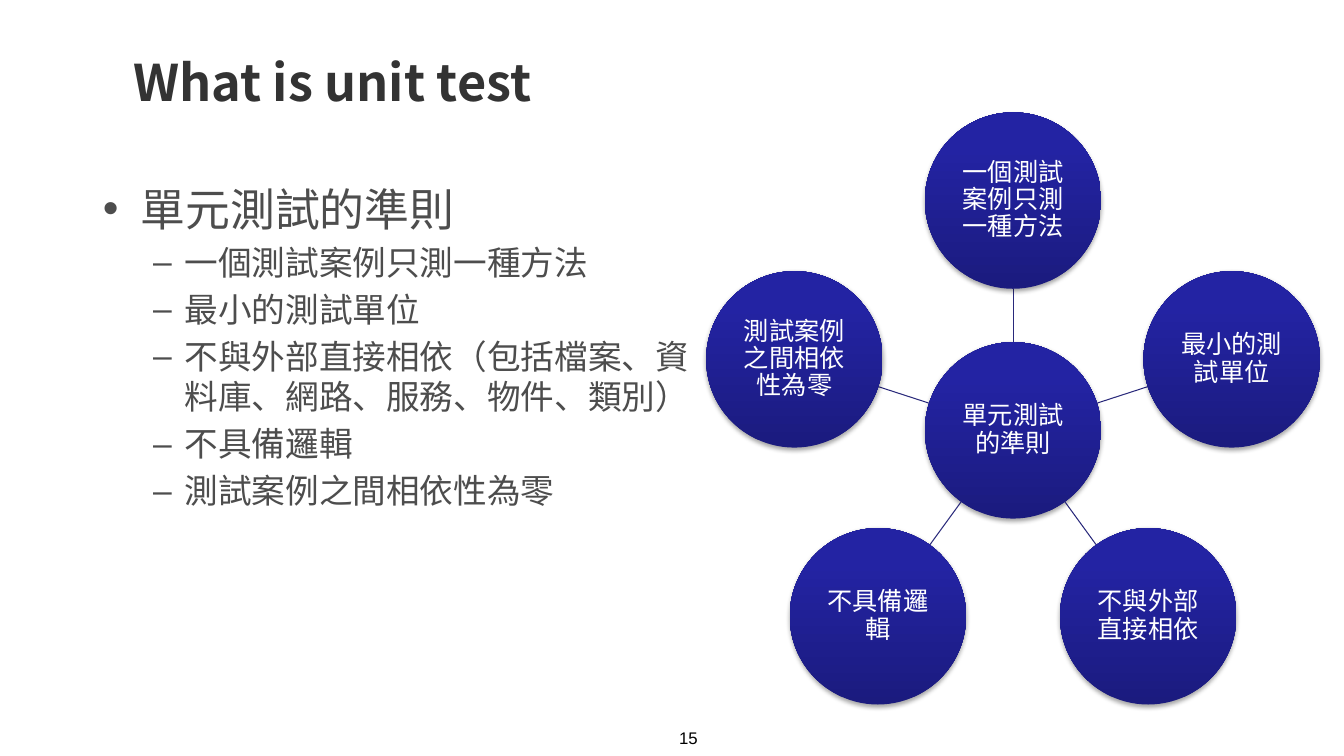
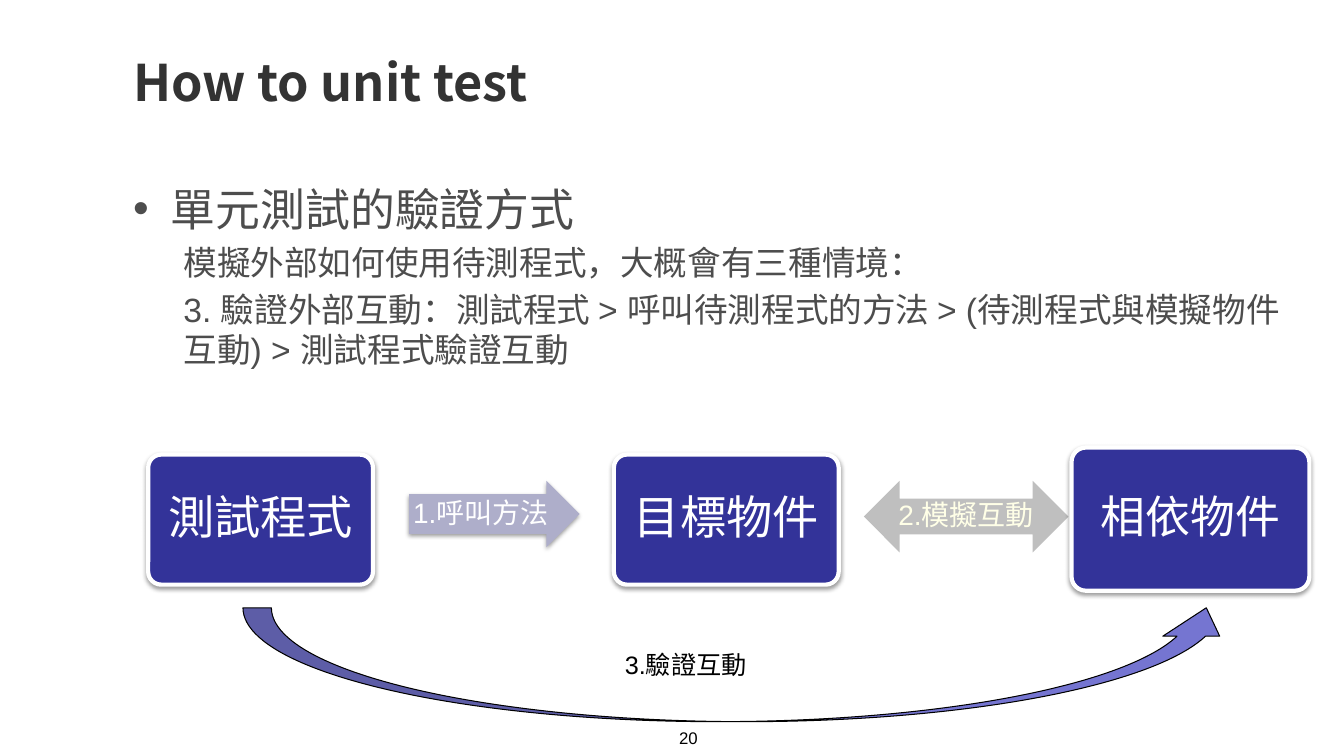
"""Build two unit test slides: a ring of principles and an interaction flow."""
import math

import pptx
import pptx.dml.color
import pptx.enum.shapes
import pptx.enum.text
import pptx.oxml
import pptx.oxml.ns
import pptx.util

WIDTH = pptx.util.Inches(13.33)
HEIGHT = pptx.util.Inches(7.5)
COLUMN = WIDTH / 40
ROW = HEIGHT / 30
BODY_FONT = "Arial"
TITLE_FONT = "Noto Sans CJK SC"
COLOURS = {
    "title": "333333",
    "body": "4D4D4D",
    "black": "000000",
    "white": "FFFFFF",
    "circle_dark": "1B1B7E",
    "circle_light": "2323A3",
    "spoke": "29297B",
    "box": "333399",
    "call": "AEAECA",
    "mock": "BFBFBF",
    "mock_text": "FFFFE7",
    "verify": "7575D1",
}
SHAPES = pptx.enum.shapes.MSO_SHAPE
ALIGN = pptx.enum.text.PP_ALIGN
MIDDLE = pptx.enum.text.MSO_ANCHOR.MIDDLE


def colour(name):
    """Return a palette colour."""
    return pptx.dml.color.RGBColor.from_string(COLOURS[name])


def grid(left, top, width, height):
    """Convert columns and rows to slide lengths."""
    return [round(n) for n in (left * COLUMN, top * ROW, width * COLUMN, height * ROW)]


def add_run(paragraph, words, size, ink, font=BODY_FONT, bold=False):
    """Add one formatted run to a paragraph."""
    run = paragraph.add_run()
    run.text = words
    run.font.size = pptx.util.Pt(size)
    run.font.name = font
    run.font.bold = bold
    run.font.color.rgb = colour(ink)


def place(holder, area):
    """Move a placeholder to a grid area and return its text frame."""
    holder.left, holder.top, holder.width, holder.height = grid(*area)
    frame = holder.text_frame
    frame.word_wrap = True
    frame.auto_size = pptx.enum.text.MSO_AUTO_SIZE.NONE
    return frame


def add_label(slide, area, words, size, align=ALIGN.LEFT):
    """Add a plain black label."""
    frame = slide.shapes.add_textbox(*grid(*area)).text_frame
    frame.word_wrap = True
    frame.paragraphs[0].alignment = align
    add_run(frame.paragraphs[0], words, size, "black")


def add_page(deck, title, number):
    """Add a slide with the shared title and page number."""
    slide = deck.slides.add_slide(deck.slide_layouts[1])
    heading = place(slide.shapes.title, (3.66, 1.8, 34.32, 2.84)).paragraphs[0]
    heading.alignment = ALIGN.LEFT
    add_run(heading, title, 36, "title", TITLE_FONT, True)
    add_label(slide, (19.32, 28.68, 2.34, 1.68), number, 12, ALIGN.CENTER)
    return slide


def fill_body(slide, area, topic, points, bulleted=True):
    """Write a topic and its second-level points in the body placeholder."""
    frame = place(slide.placeholders[1], area)
    add_run(frame.paragraphs[0], topic, 32, "body")
    for point in points:
        paragraph = frame.add_paragraph()
        paragraph.level = 1
        if not bulleted:
            properties = paragraph._p.get_or_add_pPr()
            properties.set("marL", str(pptx.util.Inches(0.5)))
            properties.set("indent", "0")
            properties.append(pptx.oxml.parse_xml(
                f'<a:buNone {pptx.oxml.ns.nsdecls("a")}/>'))
        add_run(paragraph, point, 24, "body")


def add_shadow(shape, opacity):
    """Give a shape a soft shadow below it."""
    effects = shape._element.spPr.find(pptx.oxml.ns.qn("a:effectLst"))
    effects.append(pptx.oxml.parse_xml(
        f'<a:outerShdw {pptx.oxml.ns.nsdecls("a")} blurRad="40000" dist="20000" '
        f'dir="5400000" rotWithShape="0"><a:srgbClr val="{COLOURS["black"]}">'
        f'<a:alpha val="{opacity * 1000}"/></a:srgbClr></a:outerShdw>'))


def add_figure(slide, kind, bounds, fill, outline=None, weight=0.75):
    """Add a preset shape with a flat fill and an optional outline."""
    figure = slide.shapes.add_shape(kind, *bounds)
    figure.shadow.inherit = False
    figure.fill.solid()
    figure.fill.fore_color.rgb = colour(fill)
    if outline:
        figure.line.color.rgb = colour(outline)
        figure.line.width = pptx.util.Pt(weight)
    else:
        figure.line.fill.background()
    return figure


def write_inside(figure, words, size, ink="white", inset=0.0, wrap=True):
    """Centre words inside a figure."""
    frame = figure.text_frame
    frame.word_wrap = wrap
    frame.vertical_anchor = MIDDLE
    frame.margin_left = frame.margin_right = pptx.util.Inches(inset)
    frame.margin_top = frame.margin_bottom = pptx.util.Inches(inset)
    paragraph = frame.paragraphs[0]
    paragraph.alignment = ALIGN.CENTER
    paragraph.line_spacing = 0.9
    add_run(paragraph, words, size, ink)


def add_circle(slide, x, y, diameter, words):
    """Add a shaded circle centred on a point."""
    bounds = [round(n) for n in (x - diameter / 2, y - diameter / 2, diameter, diameter)]
    circle = add_figure(slide, SHAPES.OVAL, bounds, "circle_light")
    circle.fill.gradient()
    circle.fill.gradient_angle = 90
    shades = (("circle_dark", 0), ("circle_light", 0.8))
    for stop, (shade, position) in zip(circle.fill.gradient_stops, shades):
        stop.color.rgb = colour(shade)
        stop.position = position
    add_shadow(circle, 35)
    write_inside(circle, words, 18, inset=0.01)


def add_spoke(slide, *ends):
    """Add a thin line between two points."""
    spoke = slide.shapes.add_connector(
        pptx.enum.shapes.MSO_CONNECTOR.STRAIGHT, *[round(n) for n in ends])
    spoke.line.color.rgb = colour("spoke")
    spoke.line.width = pptx.util.Pt(0.75)
    spoke._element.spPr.append(pptx.oxml.parse_xml(
        f'<a:effectLst {pptx.oxml.ns.nsdecls("a")}/>'))


def add_ring(slide, hub, principles):
    """Arrange principles evenly around a hub, clockwise from the top."""
    x, y = 30.15 * COLUMN, 17.08 * ROW
    diameter, reach = 7 * ROW, 9.12 * ROW
    add_circle(slide, x, y, diameter, hub)
    for index, principle in enumerate(principles):
        angle = math.tau * index / len(principles) - math.pi / 2
        across, down = math.cos(angle), math.sin(angle)
        near, far = diameter / 2, reach - diameter / 2
        add_spoke(slide, x + near * across, y + near * down,
                  x + far * across, y + far * down)
        add_circle(slide, x + reach * across, y + reach * down, diameter, principle)


def add_actor(slide, area, words, size):
    """Add a rounded box for one participant."""
    actor = add_figure(slide, SHAPES.ROUNDED_RECTANGLE, grid(*area), "box", "white", 3)
    actor.adjustments[0] = 0.1
    add_shadow(actor, 38)
    write_inside(actor, words, size, inset=0.14)


def add_flow(slide):
    """Draw the participants and the three interactions between them."""
    add_actor(slide, (4.41, 18.04, 6.69, 5.16), "測試程式", 33)
    call = add_figure(slide, SHAPES.RIGHT_ARROW, grid(12.18, 19.08, 5.07, 2.64), "call")
    call.adjustments[0] = 0.6
    add_shadow(call, 38)
    write_inside(call, "1.呼叫方法", 20, wrap=False)
    call.text_frame.margin_right = pptx.util.Inches(0.07)
    add_actor(slide, (18.27, 18.04, 6.69, 5.16), "目標物件", 33)
    mock = add_figure(slide, SHAPES.LEFT_RIGHT_ARROW,
                      grid(25.71, 19.08, 6.09, 2.84), "mock")
    write_inside(mock, "2.模擬互動", 20, "mock_text", wrap=False)
    add_actor(slide, (31.89, 17.76, 7.08, 5.68), "相依物件", 32)
    add_figure(slide, SHAPES.CURVED_UP_ARROW,
               grid(7.23, 24.12, 29.52, 4.52), "verify", "black")
    add_label(slide, (18.3, 25.56, 4.41, 1.84), "3.驗證互動", 18)


def main():
    """Build and save the presentation."""
    deck = pptx.Presentation()
    deck.slide_width, deck.slide_height = WIDTH, HEIGHT

    rules = add_page(deck, "What is unit test", "15")
    topic = "單元測試的準則"
    principles = ["一個測試案例只測一種方法", "最小的測試單位", "不與外部直接相依",
                  "不具備邏輯", "測試案例之間相依性為零"]
    details = {"不與外部直接相依": "（包括檔案、資料庫、網路、服務、物件、類別）"}
    fill_body(rules, (2.76, 7, 18.45, 19.8), topic,
              [principle + details.get(principle, "") for principle in principles])
    add_ring(rules, topic, principles)

    verification = add_page(deck, "How to unit test", "20")
    fill_body(verification, (3.66, 7, 35.34, 19.8), "單元測試的驗證方式", [
        "模擬外部如何使用待測程式，大概會有三種情境：",
        "3. 驗證外部互動：測試程式 > 呼叫待測程式的方法 > "
        "(待測程式與模擬物件互動) > 測試程式驗證互動",
    ], bulleted=False)
    add_flow(verification)

    deck.save("out.pptx")


if __name__ == "__main__":
    main()
